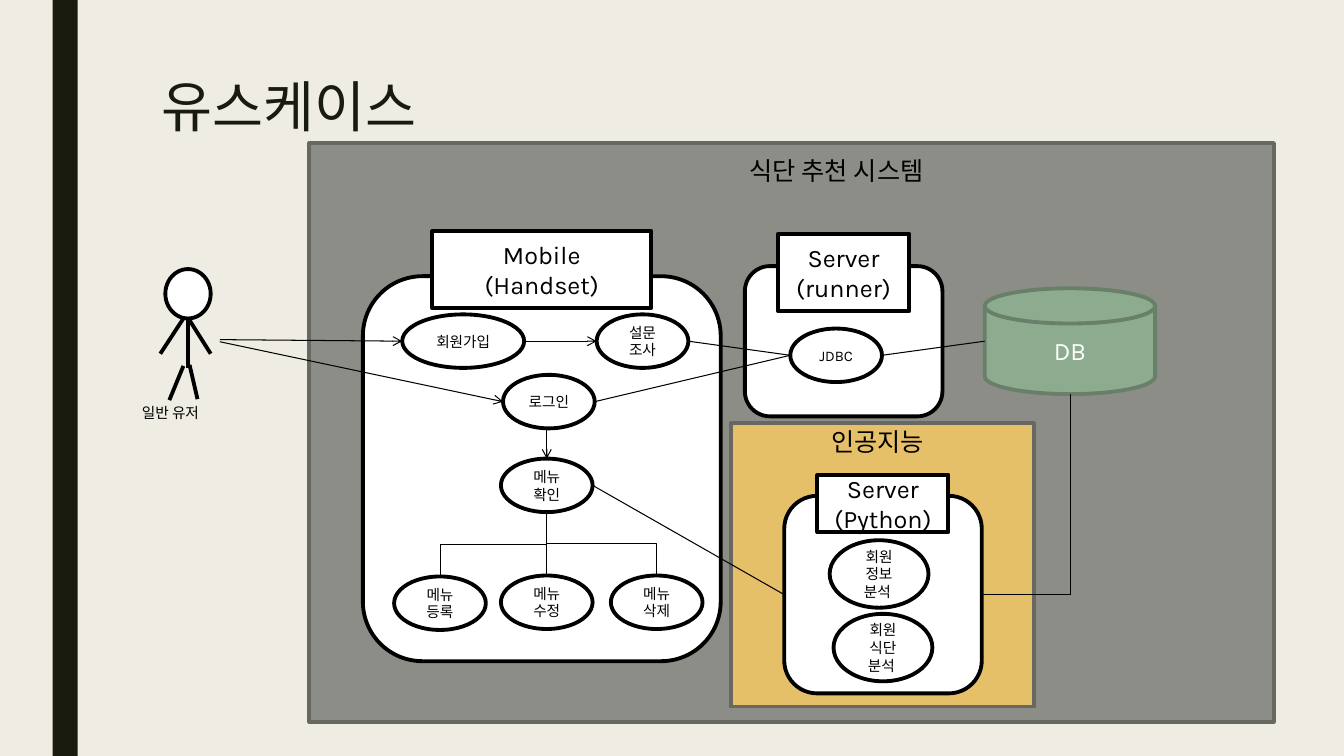
"""Build the use case slide of a diet recommendation system."""
from dataclasses import dataclass

import lxml.etree
import pptx
import pptx.dml.color
import pptx.enum.shapes
import pptx.enum.text
import pptx.oxml.ns
import pptx.util

Pt = pptx.util.Pt
qn = pptx.oxml.ns.qn
Preset = pptx.enum.shapes.MSO_SHAPE
Link = pptx.enum.shapes.MSO_CONNECTOR
Align = pptx.enum.text.PP_ALIGN
Anchor = pptx.enum.text.MSO_ANCHOR
Point = tuple[float, float]

FONT = "Karla"
COLORS = {
    "page": "EFEDE3", "ink": "191B0E", "black": "000000", "white": "FFFFFF",
    "system": "8C8D86", "frame": "686863", "ai": "E6C069",
    "db": "8DAB8E", "db_edge": "687F69",
}


@dataclass(frozen=True)
class Box:
    """A preset shape with optional centred text."""

    left: float
    top: float
    width: float
    height: float
    text: str = ""
    preset: Preset = Preset.RECTANGLE
    size: float = 18
    fill: str = "white"
    edge: str = "black"
    ink: str = "black"

    def at(self, across: float, down: float) -> Point:
        """Return the point at the given fractions of the box."""
        return self.left + across * self.width, self.top + down * self.height


@dataclass(frozen=True)
class Label:
    """A text box."""

    left: float
    top: float
    width: float
    height: float
    text: str
    size: float


@dataclass(frozen=True)
class Line:
    """A straight line, with an arrowhead at its end if wanted."""

    start: Point
    end: Point
    arrow: bool = False
    weight: float = 0.75


def case(left: float, top: float, text: str, width: float = 65.5, height: float = 38.2) -> Box:
    """Return a use case ellipse."""
    return Box(left, top, width, height, text, Preset.OVAL, 10.5)


def panel(left: float, top: float, width: float, height: float) -> Box:
    """Return a rounded white panel."""
    return Box(left, top, width, height, preset=Preset.ROUNDED_RECTANGLE)


SYSTEM = Box(221, 102.2, 689, 413.3, fill="system", edge="frame")
AI = Box(522, 302.4, 216.7, 202.3, fill="ai", edge="frame")
DATABASE = Box(703.4, 205.9, 121.7, 75.6, "DB", Preset.FLOWCHART_MAGNETIC_DISK,
               fill="db", edge="db_edge", ink="white")
PYTHON = panel(560.2, 354.2, 141.1, 141.1)
SIGN_UP = case(287.3, 224.6, "회원가입", 87.1)
SURVEY = case(426.2, 224.6, "설문\n조사")
JDBC = case(564.5, 234.7, "JDBC")
LOGIN = case(359.3, 267.8, "로그인")
MENU = case(357.8, 327.6, "메뉴 확인")
ADD = case(281.5, 411.8, "메뉴 등록")
EDIT = case(357.8, 411.1, "메뉴 수정")
DELETE = case(436.3, 411.1, "메뉴 삭제")

BOXES = [
    SYSTEM, AI, DATABASE,
    panel(259.2, 197.3, 255.6, 275), Box(308.9, 164.9, 156.2, 55.4, "Mobile\n(Handset)"),
    panel(532.1, 190.1, 141.1, 107.3), Box(555.8, 167, 93.6, 55.4, "Server\n(runner)"),
    PYTHON, Box(583.9, 339.1, 93.6, 41, "Server\n(Python)"),
    SIGN_UP, SURVEY, JDBC, LOGIN, MENU, ADD, EDIT, DELETE,
    case(592.6, 385.9, "회원 정보\n분석 ", 70.6, 48.2),
    case(595.4, 438.5, "회원 식단\n분석 ", 70.6, 48.2),
    Box(118.1, 192.2, 32.4, 35.3, preset=Preset.OVAL),
]
LABELS = [
    Label(94.3, 285.1, 90.7, 20.2, "일반 유저", 10.5),
    Label(528.5, 107.3, 203, 29, "식단 추천 시스템", 18),
    Label(586.8, 301, 91.4, 29, "인공지능", 18),
]
NECK = (134.6, 227.5)
LIMBS = [
    (NECK, (134.6, 262.8)), ((131, 261.4), (121, 285.8)), ((135.4, 260.6), (141.1, 285.1)),
    ((131, 227.5), (114.5, 252.7)), (NECK, (150.5, 252.7)),
]
LINES = [Line(start, end, weight=2.75) for start, end in LIMBS] + [
    Line((157, 242.6), SIGN_UP.at(0, 0.5), True),
    Line((157, 244.1), LOGIN.at(0, 0.5), True),
    Line(SIGN_UP.at(1, 0.5), SURVEY.at(0, 0.5), True),
    Line((MENU.at(0.5, 0)[0], LOGIN.at(0.5, 1)[1]), MENU.at(0.5, 0), True),
    Line(JDBC.at(0, 0.5), SURVEY.at(1, 0.5)),
    Line(JDBC.at(0, 0.5), LOGIN.at(1, 0.5)),
    Line(DATABASE.at(0, 0.5), JDBC.at(1, 0.5)),
    Line(PYTHON.at(0, 0.5), MENU.at(1, 0.5)),
    Line(MENU.at(0.5, 1), EDIT.at(0.5, 0)),
]


def color(name: str) -> pptx.dml.color.RGBColor:
    """Return a named colour."""
    return pptx.dml.color.RGBColor.from_string(COLORS[name])


def write(frame, text: str, size: float, ink: str, align: Align) -> None:
    """Write one paragraph, with a line break at each newline."""
    frame.word_wrap = True
    para = frame.paragraphs[0]
    para.alignment = align
    for index, part in enumerate(text.split("\n")):
        if index:
            para.add_line_break()
        span = para.add_run()
        span.text = part
        span.font.name = FONT
        span.font.size = Pt(size)
        span.font.color.rgb = color(ink)


def draw_box(page, box: Box) -> None:
    """Draw a preset shape."""
    shape = page.shapes.add_shape(
        box.preset, Pt(box.left), Pt(box.top), Pt(box.width), Pt(box.height))
    shape.shadow.inherit = False
    shape.fill.solid()
    shape.fill.fore_color.rgb = color(box.fill)
    shape.line.color.rgb = color(box.edge)
    shape.line.width = Pt(2.75)
    if box.text:
        shape.text_frame.vertical_anchor = Anchor.MIDDLE
        write(shape.text_frame, box.text, box.size, box.ink, Align.CENTER)


def draw_label(page, label: Label) -> None:
    """Draw a text box."""
    shape = page.shapes.add_textbox(
        Pt(label.left), Pt(label.top), Pt(label.width), Pt(label.height))
    write(shape.text_frame, label.text, label.size, "black", Align.LEFT)


def draw_line(page, line: Line, kind: Link = Link.STRAIGHT):
    """Draw a connector and return its shape properties."""
    connector = page.shapes.add_connector(kind, *map(Pt, line.start + line.end))
    connector.line.color.rgb = color("black")
    connector.line.width = Pt(line.weight)
    properties = connector.element.spPr
    if line.arrow:
        lxml.etree.SubElement(properties.find(qn("a:ln")), qn("a:tailEnd"), type="arrow")
    lxml.etree.SubElement(properties, qn("a:effectLst"))
    return properties


def draw_elbow(page, upper: Point, lower: Point, preset: str) -> None:
    """Draw a bent connector that leaves the upper point downwards."""
    middle_x, middle_y = (upper[0] + lower[0]) / 2, (upper[1] + lower[1]) / 2
    half_run, half_drop = (upper[0] - lower[0]) / 2, (lower[1] - upper[1]) / 2
    turned = Line((middle_x - half_drop, middle_y - half_run),
                  (middle_x + half_drop, middle_y + half_run), weight=0.5)
    properties = draw_line(page, turned, Link.ELBOW)
    properties.find(qn("a:xfrm")).set("rot", "5400000")
    properties.find(qn("a:prstGeom")).set("prst", preset)


def main() -> None:
    """Build and save the deck."""
    deck = pptx.Presentation()
    deck.slide_width, deck.slide_height = Pt(960), Pt(540)
    page = deck.slides.add_slide(deck.slide_layouts[5])
    page.background.fill.solid()
    page.background.fill.fore_color.rgb = color("page")

    title = page.shapes.title
    title.left, title.top, title.width, title.height = map(Pt, (108, 54, 219, 54))
    title.text_frame.vertical_anchor = Anchor.TOP
    write(title.text_frame, "유스케이스", 39.6, "ink", Align.LEFT)
    title.text_frame.paragraphs[0].line_spacing = 0.89

    bar = page.shapes.add_shape(Preset.RECTANGLE, Pt(37.5), 0, Pt(18), Pt(540))
    bar.shadow.inherit = False
    bar.fill.solid()
    bar.fill.fore_color.rgb = color("ink")
    bar.line.fill.background()

    for box in BOXES:
        draw_box(page, box)
    for label in LABELS:
        draw_label(page, label)
    for line in LINES:
        draw_line(page, line)
    for child in (ADD, DELETE):
        draw_elbow(page, MENU.at(0.5, 1), child.at(0.5, 0), "bentConnector3")
    draw_elbow(page, DATABASE.at(0.5, 1), PYTHON.at(1, 0.5), "bentConnector2")
    deck.save("out.pptx")


if __name__ == "__main__":
    main()
